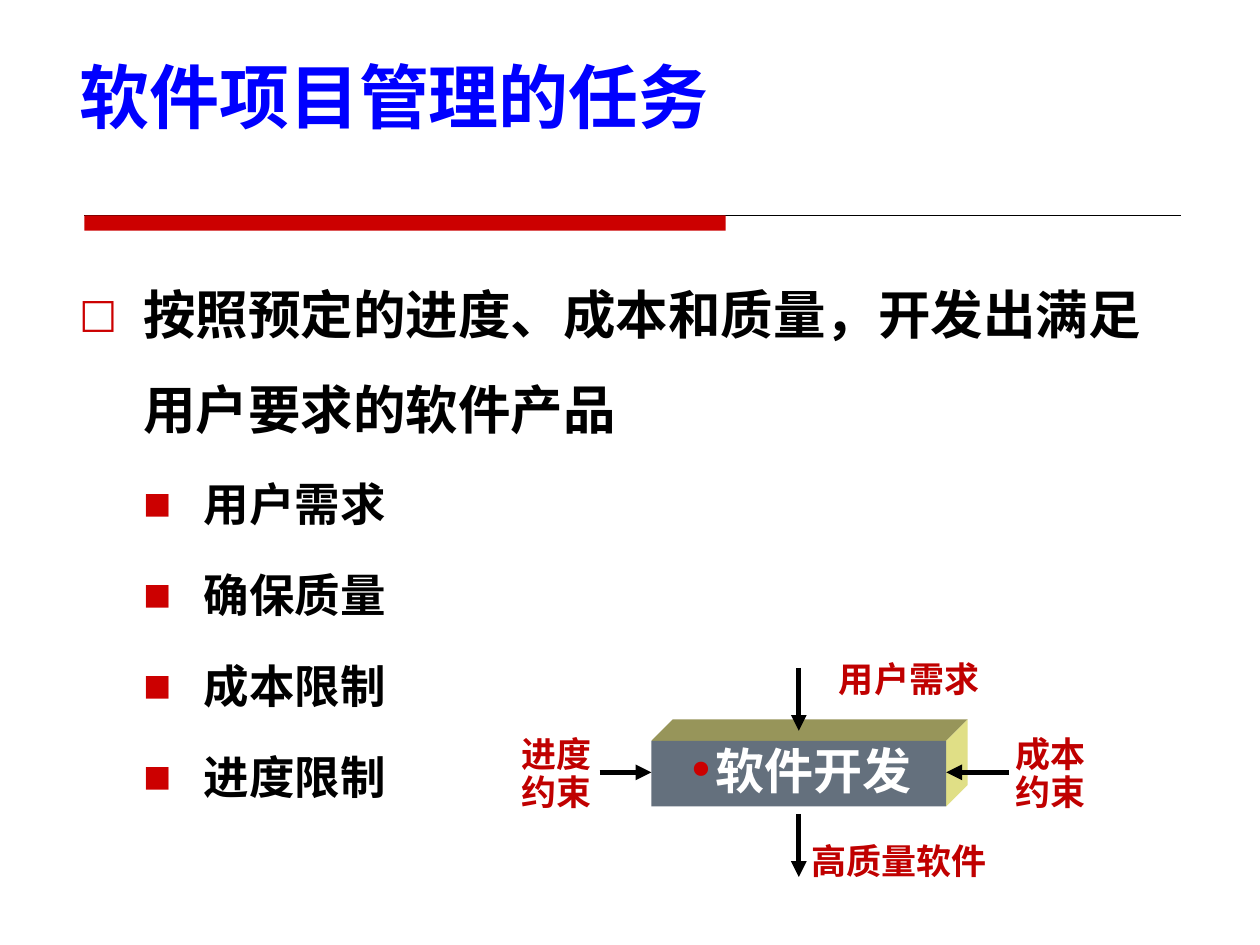
from lxml import etree
from pptx import Presentation
from pptx.dml.color import RGBColor
from pptx.enum.shapes import MSO_CONNECTOR, MSO_SHAPE
from pptx.enum.text import MSO_ANCHOR, PP_ALIGN
from pptx.oxml.ns import qn
from pptx.util import Inches, Pt

RECTANGLE = MSO_SHAPE.RECTANGLE
STRAIGHT = MSO_CONNECTOR.STRAIGHT
LEFT, CENTER = PP_ALIGN.LEFT, PP_ALIGN.CENTER
TOP, MIDDLE, BOTTOM = MSO_ANCHOR.TOP, MSO_ANCHOR.MIDDLE, MSO_ANCHOR.BOTTOM

BLUE = RGBColor(0x00, 0x00, 0xFF)
RED = RGBColor(0xCC, 0x00, 0x00)
DARK_RED = RGBColor(0xC0, 0x00, 0x00)
BLACK = RGBColor(0x00, 0x00, 0x00)
WHITE = RGBColor(0xFF, 0xFF, 0xFF)
SLATE = RGBColor(0x64, 0x70, 0x7D)
OLIVE = RGBColor(0x97, 0x95, 0x5A)
YELLOW = RGBColor(0xE0, 0xDF, 0x86)

HEADING_FONT = "Noto Sans CJK SC"
BODY_FONT = "DejaVu Sans"


def add_bullet(para, char, percent):
    """Give a paragraph a red bullet of the given relative size."""
    properties = para._p.get_or_add_pPr()
    color = etree.SubElement(properties, qn("a:buClr"))
    etree.SubElement(color, qn("a:srgbClr"), val=str(RED))
    etree.SubElement(properties, qn("a:buSzPct"), val=str(percent * 1000))
    etree.SubElement(properties, qn("a:buFont"), typeface=BODY_FONT)
    etree.SubElement(properties, qn("a:buChar"), char=char)


def write_text(para, text, size, color, font=HEADING_FONT, align=LEFT,
               spacing=1.0, before=0, level=0, margin=0, indent=0,
               bullet=None, bullet_percent=100):
    """Write one bold span of text into a paragraph and format both."""
    para.alignment = align
    para.line_spacing = spacing
    para.space_before = Pt(before)
    para.level = level
    properties = para._p.get_or_add_pPr()
    properties.set("marL", str(Inches(margin)))
    properties.set("indent", str(Inches(indent)))
    if bullet:
        add_bullet(para, bullet, bullet_percent)
    span = para.add_run()
    span.text = text
    span.font.name = font
    span.font.size = Pt(size)
    span.font.bold = True
    span.font.color.rgb = color
    etree.SubElement(span._r.get_or_add_rPr(), qn("a:ea"), typeface=font)


def add_line(page, start, end, color, width, arrow=False):
    """Draw a straight line, with an arrowhead at its end if wanted."""
    line = page.shapes.add_connector(
        STRAIGHT, *(Inches(value) for value in (*start, *end)))
    line.line.color.rgb = color
    line.line.width = Pt(width)
    if arrow:
        etree.SubElement(line.line._get_or_add_ln(), qn("a:tailEnd"), type="triangle")
    etree.SubElement(line._element.spPr, qn("a:effectLst"))


def fill_plain(shape, color):
    """Fill a shape with one colour, without outline or shadow."""
    shape.shadow.inherit = False
    shape.fill.solid()
    shape.fill.fore_color.rgb = color
    shape.line.fill.background()


def add_face(page, points, color):
    """Draw one filled polygon through the given points."""
    corners = [(Inches(x), Inches(y)) for x, y in points]
    builder = page.shapes.build_freeform(*corners[0])
    builder.add_line_segments(corners[1:], close=True)
    fill_plain(builder.convert_to_shape(), color)


def add_title(page, left, top, width, height):
    """Place the slide title in the given box."""
    title = page.shapes.title
    title.left, title.top = Inches(left), Inches(top)
    title.width, title.height = Inches(width), Inches(height)
    frame = title.text_frame
    frame.vertical_anchor = BOTTOM
    write_text(frame.paragraphs[0], "软件项目管理的任务", 40, BLUE)


def add_rule(page, left, top, width, height):
    """Draw the thin rule with its thick red start."""
    add_line(page, (left, top), (left + width, top), BLACK, 0.75)
    bar = page.shapes.add_shape(
        RECTANGLE, Inches(left), Inches(top), Inches(5.09), Inches(height))
    fill_plain(bar, RED)


def add_body(page, left, top, width, height):
    """Place the task statement and its four points."""
    box = page.shapes.add_textbox(
        Inches(left), Inches(top), Inches(width), Inches(height))
    frame = box.text_frame
    frame.word_wrap = True
    write_text(frame.paragraphs[0], "按照预定的进度、成本和质量，开发出满足用户要求的软件产品",
               30, BLACK, font=BODY_FONT, spacing=1.5, margin=0.51,
               indent=-0.51, bullet="□", bullet_percent=77)
    for point in ("用户需求", "确保质量", "成本限制", "进度限制"):
        write_text(frame.add_paragraph(), point, 26, BLACK, font=BODY_FONT,
                   spacing=1.5, before=5.2, level=1, margin=0.99,
                   indent=-0.48, bullet="■", bullet_percent=65)


def add_block(page, left, top, width, height, depth=0.17):
    """Draw the development block with its top and right faces."""
    right, bottom = left + width, top + height
    back_top, back_right = top - depth, right + depth
    add_face(page, [(left, top), (left + depth, back_top),
                    (back_right, back_top), (right, top)], OLIVE)
    add_face(page, [(right, top), (back_right, back_top),
                    (back_right, bottom - depth), (right, bottom)], YELLOW)
    front = page.shapes.add_shape(
        RECTANGLE, Inches(left), Inches(top), Inches(width), Inches(height))
    fill_plain(front, SLATE)
    frame = front.text_frame
    frame.word_wrap = True
    frame.vertical_anchor = MIDDLE
    write_text(frame.paragraphs[0], "软件开发", 28, WHITE, align=CENTER,
               spacing=0.9, bullet="•")


def add_label(page, text, left, top, width, height):
    """Place one centred red label of the diagram."""
    box = page.shapes.add_textbox(
        Inches(left), Inches(top), Inches(width), Inches(height))
    frame = box.text_frame
    frame.word_wrap = True
    frame.vertical_anchor = TOP
    write_text(frame.paragraphs[0], text, 20, DARK_RED, align=CENTER, spacing=0.9)


def add_diagram(page, left, top, width, height):
    """Draw the block with the arrows and labels around it."""
    block_left, block_top = left + 1.25, top + 0.67
    block_width, block_height = 2.34, 0.52
    block_right = block_left + block_width
    center = block_left + block_width / 2
    middle = block_top + 0.25
    bottom = top + height
    add_block(page, block_left, block_top, block_width, block_height)
    for start, end in (
        ((block_right + 0.5, middle), (block_right, middle)),
        ((block_left - 0.41, middle), (block_left, middle)),
        ((center, bottom - 0.59), (center, bottom - 0.09)),
        ((center, top + 0.09), (center, top + 0.59)),
    ):
        add_line(page, start, end, BLACK, 3, arrow=True)
    add_label(page, "成本约束", left + width - 1, middle - 0.33, 1, 0.7)
    add_label(page, "进度约束", left, middle - 0.33, 1, 0.7)
    add_label(page, "高质量软件", center - 0.08, bottom - 0.4, 1.75, 0.4)
    add_label(page, "用户需求", center, top, 1.75, 0.4)


def main():
    """Build the slide and save the deck."""
    deck = Presentation()
    deck.slide_width, deck.slide_height = Inches(10), Inches(7.5)
    page = deck.slides.add_slide(deck.slide_layouts[5])
    add_rule(page, 0.67, 1.71, 8.7, 0.12)
    add_title(page, 0.53, 0.39, 9, 0.75)
    add_body(page, 0.53, 1.94, 8.94, 5.13)
    add_diagram(page, 3.92, 5.21, 4.92, 1.84)
    deck.save("out.pptx")


if __name__ == "__main__":
    main()
